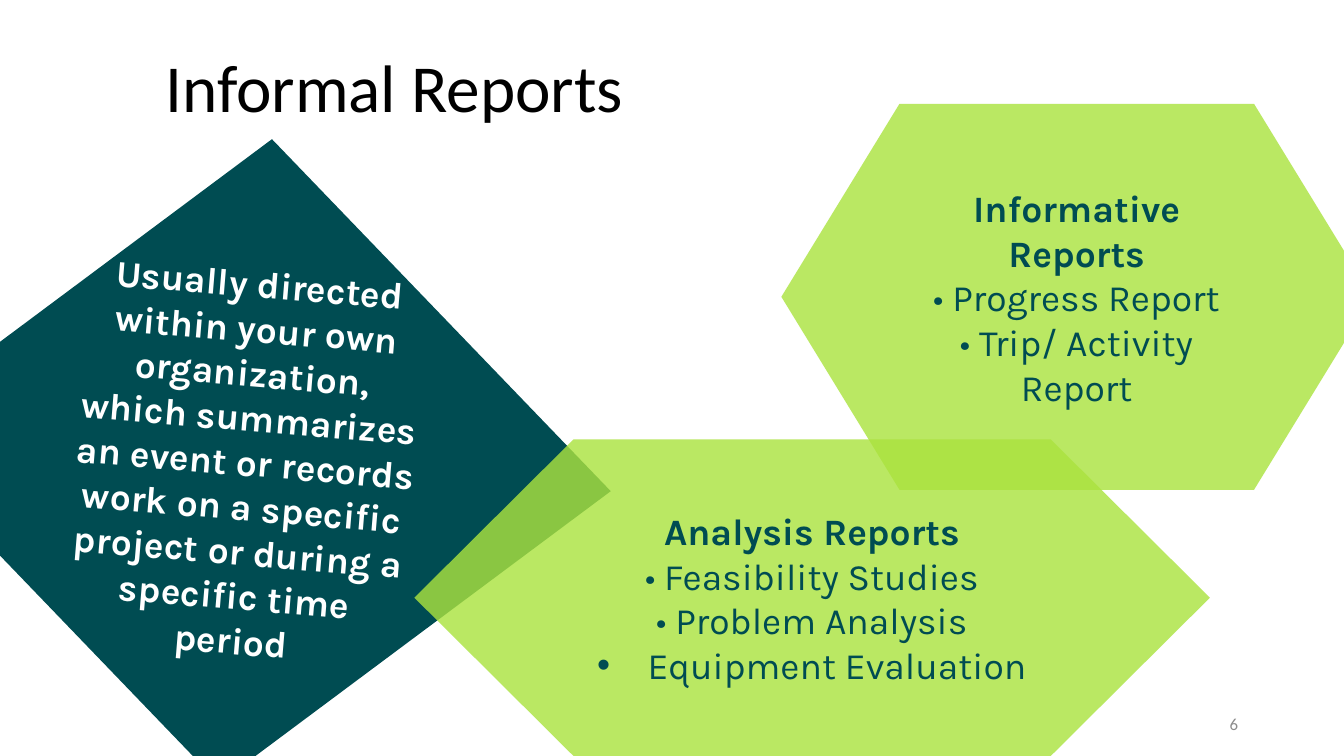
from lxml import etree
from pptx import Presentation
from pptx.dml.color import RGBColor
from pptx.enum.shapes import MSO_SHAPE
from pptx.enum.text import MSO_ANCHOR, PP_ALIGN
from pptx.oxml.ns import qn
from pptx.util import Inches, Pt

DIAMOND, HEXAGON = MSO_SHAPE.DIAMOND, MSO_SHAPE.FLOWCHART_PREPARATION
TOP, MIDDLE = MSO_ANCHOR.TOP, MSO_ANCHOR.MIDDLE
LEFT, CENTER, RIGHT = PP_ALIGN.LEFT, PP_ALIGN.CENTER, PP_ALIGN.RIGHT

WIDTH, HEIGHT = 13.33, 7.5
INSET = 0.13
TEAL, LIME, WHITE, BLACK, GREY = "004C52", "ABE33F", "FFFFFF", "000000", "8C8C8C"
MARK = "•" + chr(160)  # bullet and no-break space

TITLE = "Informal Reports"
PAGE = "6"
DEFINITION = (
    "Usually directed within your own organization, which summarizes an event "
    "or records work on a specific project or during a specific time period"
)
# Each group: box, heading, items with a typed mark, items with a hanging bullet
GROUPS = [
    ((7.75, 1.03, 5.86, 3.83), "Informative Reports",
     ["Progress Report", "Trip/ Activity Report"], []),
    ((4.11, 4.36, 7.89, 3.14), "Analysis Reports",
     ["Feasibility Studies", "Problem Analysis"], ["Equipment Evaluation"]),
]


def rgb(value):
    return RGBColor.from_string(value)


def frame(s, anchor):
    tf = s.text_frame
    tf.word_wrap = True
    tf.vertical_anchor = anchor
    tf.margin_left = tf.margin_right = Inches(INSET)
    tf.margin_top = tf.margin_bottom = Inches(INSET)
    return tf


def write(tf, text, size=26.6, color=TEAL, font="Karla", bold=False,
          align=CENTER, spacing=None, bullet=False):
    """Fill the empty first paragraph, or append a new one."""
    p = tf.paragraphs[0] if not tf.text else tf.add_paragraph()
    p.alignment = align
    if spacing:
        p.line_spacing = spacing
    if bullet:
        pPr = p._p.get_or_add_pPr()
        pPr.set("marL", str(Inches(0.5)))
        pPr.set("indent", str(-Inches(0.5)))
        etree.SubElement(pPr, qn("a:buFont")).set("typeface", "Arial")
        etree.SubElement(pPr, qn("a:buChar")).set("char", "•")
    r = p.add_run()
    r.text = text
    r.font.name, r.font.size, r.font.bold = font, Pt(size), bold
    r.font.color.rgb = rgb(color)


def add_text(slide, box, text, **fmt):
    s = slide.shapes.add_textbox(*map(Inches, box))
    write(frame(s, TOP), text, font="Calibri", **fmt)


def add_panel(slide, kind, box, color, opacity=None, rotation=0):
    s = slide.shapes.add_shape(kind, *map(Inches, box))
    s.shadow.inherit = False
    s.rotation = rotation
    s.fill.solid()
    s.fill.fore_color.rgb = rgb(color)
    s.line.fill.background()
    if opacity:
        fill = s._element.spPr.find(qn("a:solidFill"))
        etree.SubElement(fill[0], qn("a:alpha")).set("val", str(opacity * 1000))
    return frame(s, MIDDLE)


def main():
    prs = Presentation()
    prs.slide_width, prs.slide_height = Inches(WIDTH), Inches(HEIGHT)
    slide = prs.slides.add_slide(prs.slide_layouts[6])

    add_text(slide, (1.51, 0.41, 10.75, 1.25), TITLE, size=48, color=BLACK,
             align=LEFT, spacing=0.9)
    add_text(slide, (9.41, 6.98, 3, 0.4), PAGE, size=12, color=GREY, align=RIGHT)

    tf = add_panel(slide, DIAMOND, (-1.2, 1.37, 7.27, 6.41), TEAL, rotation=4.7)
    write(tf, DEFINITION, color=WHITE, bold=True)

    for box, heading, marked, hanging in GROUPS:
        tf = add_panel(slide, HEXAGON, box, LIME, opacity=81)
        write(tf, heading, bold=True)
        for item in marked:
            write(tf, MARK + item)
        for item in hanging:
            write(tf, item, bullet=True)

    prs.save("out.pptx")


if __name__ == "__main__":
    main()
